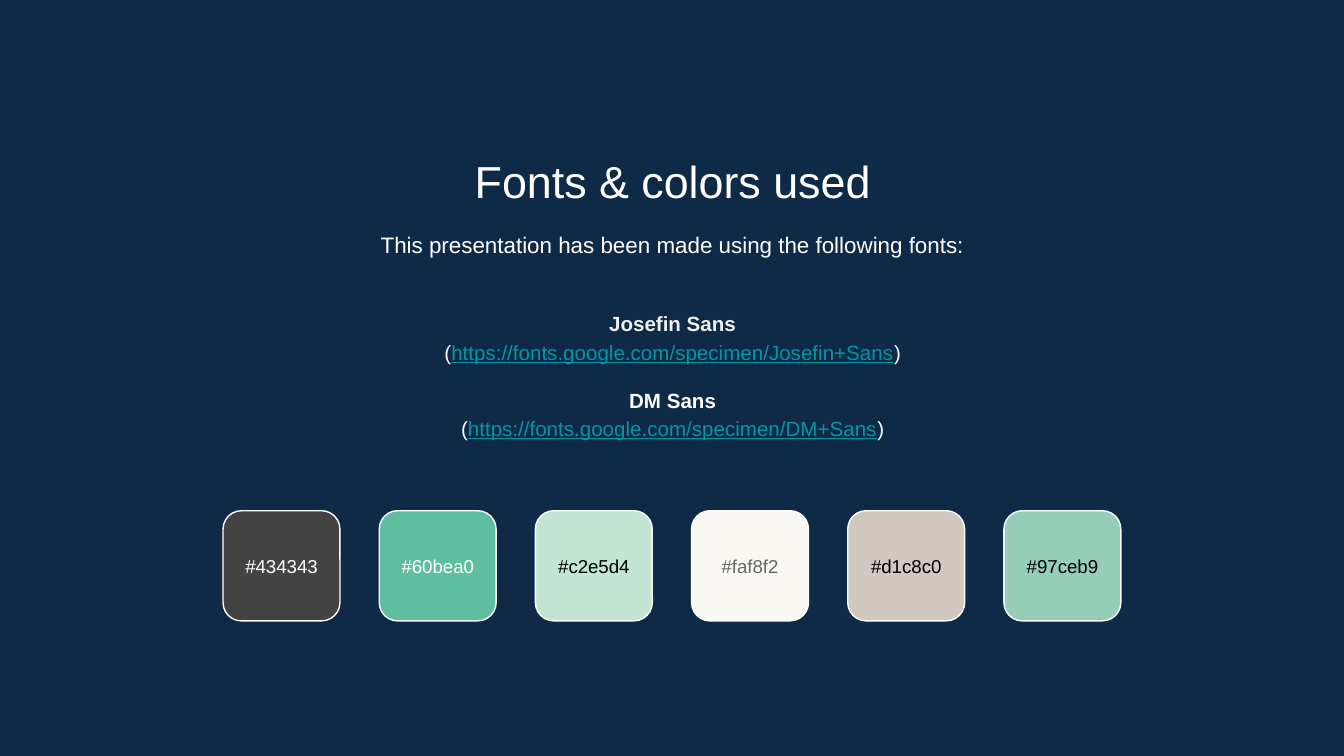
import pptx
import pptx.util
import pptx.dml.color
import pptx.enum.shapes
import pptx.enum.text

Inches = pptx.util.Inches
Pt = pptx.util.Pt
RGBColor = pptx.dml.color.RGBColor
ANCHOR = pptx.enum.text.MSO_ANCHOR

NAVY = RGBColor(0x0E, 0x2A, 0x47)
WHITE = RGBColor(0xFF, 0xFF, 0xFF)
BLACK = RGBColor(0x00, 0x00, 0x00)
PALE = RGBColor(0xEF, 0xEF, 0xEF)
GRAY = RGBColor(0x66, 0x66, 0x66)
TEAL = RGBColor(0x00, 0x97, 0xA7)

FONTS = [
    ("Josefin Sans", PALE, "https://fonts.google.com/specimen/Josefin+Sans"),
    ("DM Sans", WHITE, "https://fonts.google.com/specimen/DM+Sans"),
]
SWATCHES = [
    ("434343", WHITE),
    ("60bea0", WHITE),
    ("c2e5d4", BLACK),
    ("faf8f2", GRAY),
    ("d1c8c0", BLACK),
    ("97ceb9", BLACK),
]


def format_frame(tf, anchor):
    values = {
        "word_wrap": True,
        "auto_size": pptx.enum.text.MSO_AUTO_SIZE.NONE,
        "vertical_anchor": anchor,
        "margin_left": Inches(0.1),
        "margin_right": Inches(0.1),
        "margin_top": Inches(0.1),
        "margin_bottom": Inches(0.1),
    }
    for name, value in values.items():
        setattr(tf, name, value)


def add_run(p, text, size, color, **extra):
    p.alignment = pptx.enum.text.PP_ALIGN.CENTER
    r = p.add_run()
    r.text = text
    r.font.color.rgb = color
    for name, value in {"name": "Arial", "size": Pt(size), "bold": False, **extra}.items():
        setattr(r.font, name, value)


def add_title(s, left, top, width, height):
    sp = s.shapes.title
    box = {"left": left, "top": top, "width": width, "height": height}
    for name, value in box.items():
        setattr(sp, name, Inches(value))
    format_frame(sp.text_frame, ANCHOR.TOP)
    add_run(sp.text_frame.paragraphs[0], "Fonts & colors used", 24, WHITE)


def add_text_box(s, left, top, width, height, anchor):
    sp = s.shapes.add_textbox(Inches(left), Inches(top), Inches(width), Inches(height))
    format_frame(sp.text_frame, anchor)
    return sp.text_frame


def add_intro(s, left, top, width, height):
    p = add_text_box(s, left, top, width, height, ANCHOR.TOP).paragraphs[0]
    p.line_spacing = 1.15
    add_run(p, "This presentation has been made using the following fonts:", 12, WHITE)


def add_font_list(s, left, top, width, height):
    tf = add_text_box(s, left, top, width, height, ANCHOR.MIDDLE)
    for i, (name, color, address) in enumerate(FONTS):
        p = tf.add_paragraph() if i else tf.paragraphs[0]
        p.line_spacing = 1.15
        if i:
            p.space_before = Pt(10.6)
        add_run(p, name, 11, color, bold=True)
        p = tf.add_paragraph()
        p.line_spacing = 1.15
        add_run(p, "(", 11, WHITE)
        add_run(p, address, 11, TEAL, underline=True)
        add_run(p, ")", 11, WHITE)


def add_swatches(s, left, top, width, height):
    side = 0.87
    pitch = (width - side) / (len(SWATCHES) - 1)
    for i, (code, color) in enumerate(SWATCHES):
        sp = s.shapes.add_shape(
            pptx.enum.shapes.MSO_SHAPE.ROUNDED_RECTANGLE,
            Inches(left + i * pitch), Inches(top), Inches(side), Inches(height))
        sp.shadow.inherit = False
        sp.fill.solid()
        sp.fill.fore_color.rgb = RGBColor.from_string(code.upper())
        sp.line.color.rgb = WHITE
        sp.line.width = Pt(0.75)
        format_frame(sp.text_frame, ANCHOR.MIDDLE)
        add_run(sp.text_frame.paragraphs[0], "#" + code, 10, color)


def main():
    prs = pptx.Presentation()
    prs.slide_width = Inches(10)
    prs.slide_height = Inches(10 * 9 / 16)
    s = prs.slides.add_slide(prs.slide_layouts[5])
    s.background.fill.solid()
    s.background.fill.fore_color.rgb = NAVY
    add_title(s, 1.15, 1.04, 7.71, 0.53)
    add_intro(s, 1.15, 1.59, 7.71, 0.48)
    add_font_list(s, 1.15, 2.1, 7.71, 1.37)
    add_swatches(s, 1.66, 3.8, 6.68, 0.82)
    prs.save("out.pptx")


if __name__ == "__main__":
    main()
